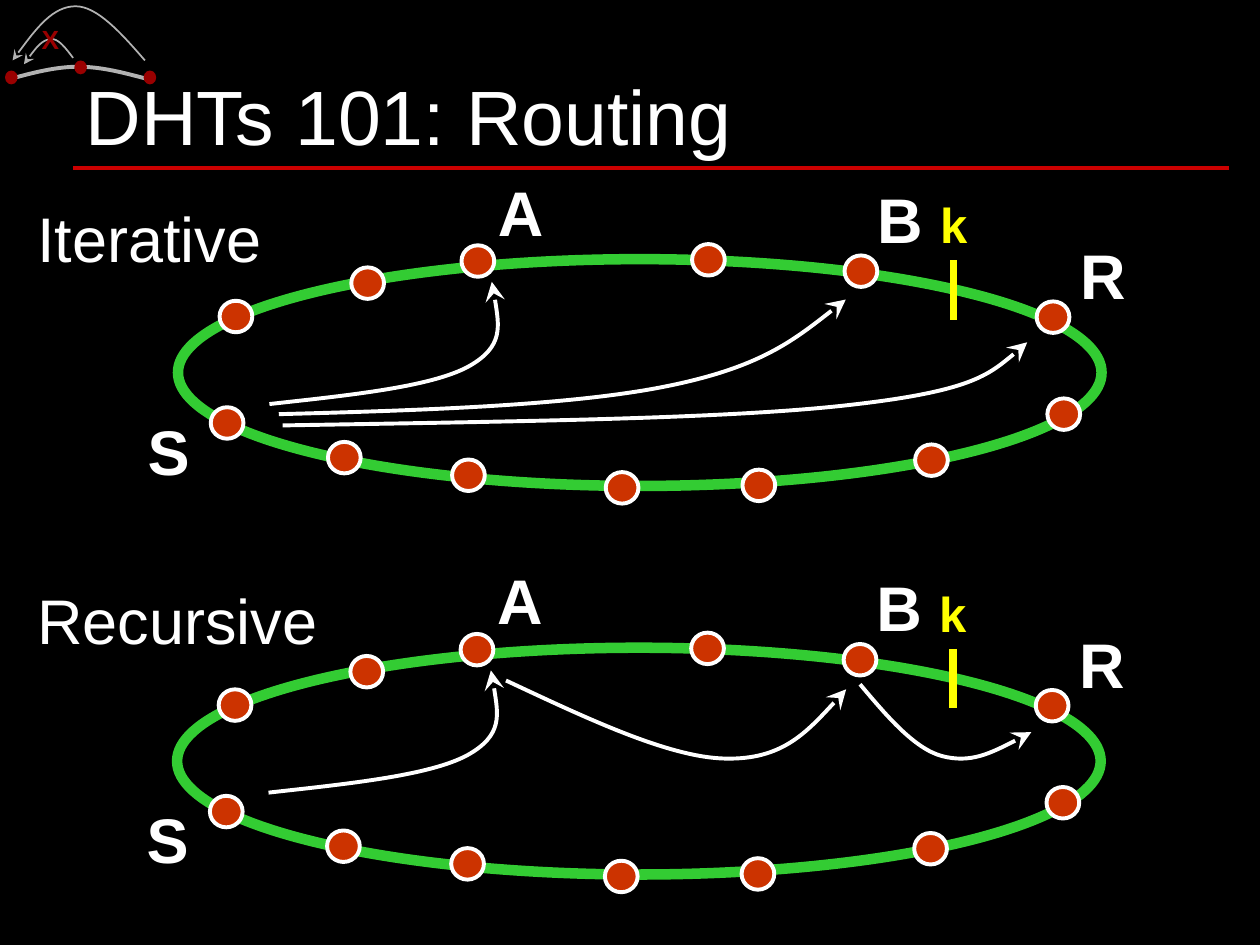
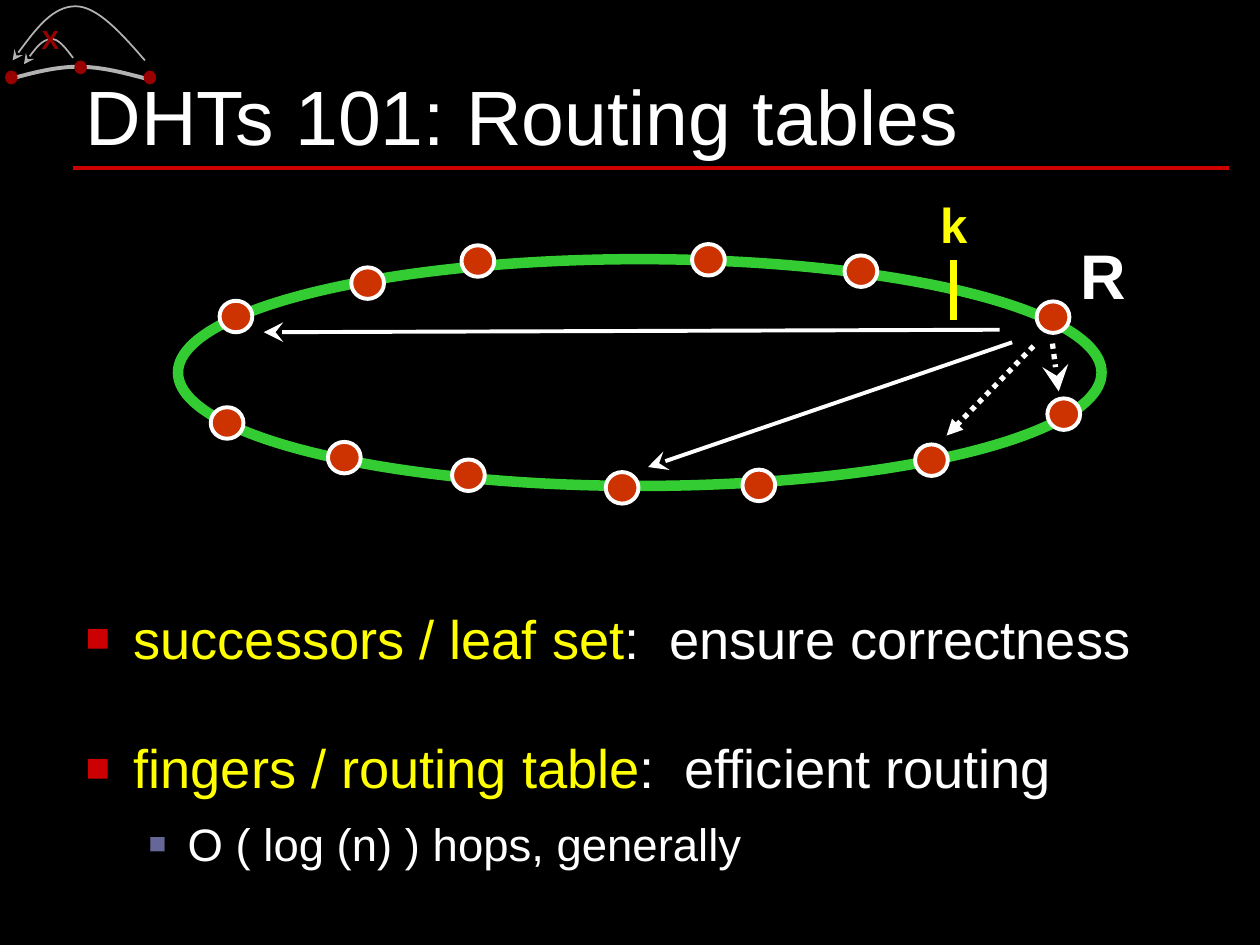
from dataclasses import dataclass

from lxml import etree
from pptx import Presentation
from pptx.dml.color import RGBColor
from pptx.enum.dml import MSO_LINE
from pptx.enum.shapes import MSO_CONNECTOR, MSO_SHAPE
from pptx.enum.text import MSO_ANCHOR, MSO_AUTO_SIZE, PP_ALIGN
from pptx.oxml.ns import qn
from pptx.util import Inches, Pt

OVAL = MSO_SHAPE.OVAL
STRAIGHT = MSO_CONNECTOR.STRAIGHT
DOTTED = MSO_LINE.ROUND_DOT
LEFT, CENTER = PP_ALIGN.LEFT, PP_ALIGN.CENTER
BOTTOM, TOP = MSO_ANCHOR.BOTTOM, MSO_ANCHOR.TOP
NO_FIT = MSO_AUTO_SIZE.NONE
TITLE_AND_BODY, TITLE_ONLY = 1, 5

FONT = "Arial"
BLACK, WHITE, YELLOW = "000000", "FFFFFF", "FFFF00"
RED, DARK_RED, NODE_RED = "CC0000", "990000", "CC3300"
GREEN, GRAY, VIOLET = "33CC33", "B2B2B2", "666699"

# The slide is a grid of 100 columns by 75 rows
SLIDE_WIDTH, SLIDE_HEIGHT = Inches(10), Inches(7.5)
COLUMN, ROW = SLIDE_WIDTH / 100, SLIDE_HEIGHT / 75


@dataclass
class Box:
    """A region in grid units; points inside it count from its top left."""
    left: float
    top: float
    width: float
    height: float

    def point(self, x, y):
        return round((self.left + x) * COLUMN), round((self.top + y) * ROW)

    def inner(self, x, y, width, height):
        return Box(self.left + x, self.top + y, width, height)

    def frame(self):
        return (*self.point(0, 0), round(self.width * COLUMN), round(self.height * ROW))


SLIDE_BOX = Box(0, 0, 100, 75)
EMBLEM_BOX = Box(0, 0, 13, 7)
TITLE_BOX = Box(5.8, 0.8, 91.7, 12.43)
BODY_BOX = Box(5.8, 47, 91.7, 28)
UPPER_RING = Box(14.13, 20.57, 73.3, 18)
LOWER_RING = Box(14.06, 51.41, 73.3, 18)
ITERATIVE_BOX = Box(1.95, 15.35, 19.8, 7)
RECURSIVE_BOX = Box(1.98, 45.65, 24.2, 7)

# Centres of the nodes, clockwise from the left, measured from the ring's corner
NODE_CENTERS = [
    (4.6, 4.55), (15.05, 1.9), (23.8, 0.15), (42.1, 0.05), (54.2, 0.95),
    (69.45, 4.6), (70.3, 12.3), (59.8, 15.95), (46.1, 17.95), (35.25, 18.15),
    (23.05, 17.15), (13.2, 15.75), (3.9, 13),
]
NODE_LABELS = {
    "R": (70.6, -2.25, 5.6, 7), "B": (54.5, -6.75, 5.6, 7),
    "A": (24.4, -7.3, 5.6, 7), "S": (-3.4, 11.65, 5.3, 7),
}

# Bezier routes: a start, then two controls and an end for each segment
S_TO_A = [(7.25, 11.5), (13.6, 10.8), (20, 10.15), (23, 8.55),
          (25.9, 6.95), (25.4, 4.4), (24.9, 1.8)]
S_TO_B = [(8, 12.3), (19.6, 12), (31.2, 11.6), (38.7, 10.1),
          (46.2, 8.6), (49.6, 5.9), (53, 3.2)]
S_TO_R = [(8.3, 13.2), (25.8, 12.9), (43.3, 12.7), (53.1, 11.6),
          (63, 10.5), (65.2, 8.6), (67.4, 6.6)]
A_TO_B = [(26.1, 2.6), (32.5, 5.6), (39, 8.7), (43.5, 8.8),
          (48, 8.9), (50.6, 6.1), (53.1, 3.3)]
B_TO_R = [(54.2, 2.9), (56.3, 5.4), (58.5, 8), (60.7, 8.6),
          (63, 9.2), (65.4, 8), (67.8, 6.7)]

EMBLEM_ARC = [(0.7, 6.3), (2.5, 5.8), (4.4, 5.3), (6.2, 5.3),
              (8.1, 5.3), (9.9, 5.8), (11.8, 6.3)]
EMBLEM_JUMPS = [
    [(11.5, 4.8), (9.6, 2.6), (7.7, 0.5), (6, 0.5), (4.2, 0.5), (2.6, 2.6), (1, 4.8)],
    [(5.8, 4.6), (5.2, 3.8), (4.6, 3), (4, 3.1), (3.3, 3.2), (2.6, 4.1), (1.9, 5.1)],
]
EMBLEM_NODES = [(0.4, 5.6), (11.4, 5.6), (5.9, 4.8)]

# Arrowheads: type, and a size for both width and length
SMALL_HEAD, LARGE_HEAD, SOLID_HEAD = ("stealth", "med"), ("stealth", "lg"), ("triangle", "med")

# Start, end, line format and arrowhead of the routing table's entries
FINGER, SUCCESSOR = {"width": Pt(2.25)}, {"width": Pt(3), "dash_style": DOTTED}
TABLE_ENTRIES = [
    ((66.2, 6.6), (37.3, 16.5), FINGER, LARGE_HEAD),
    ((65.2, 5.6), (6.8, 5.8), FINGER, LARGE_HEAD),
    ((67.9, 6.9), (61, 14), SUCCESSOR, SOLID_HEAD),
    ((69.4, 6.7), (69.9, 10.5), SUCCESSOR, LARGE_HEAD),
]

# Bullet formats: indents in inches, size in points, bullet size in percent
MAIN_BULLET = {"margin": 0.38, "hang": 0.38, "size": 31, "color": RED, "percent": 75}
SUB_BULLET = {"margin": 0.81, "hang": 0.31, "size": 26, "color": VIOLET, "percent": 65}
# Level, space before, bullet format and coloured runs
BODY_ITEMS = [
    (0, 7.7, MAIN_BULLET, [("successors / leaf set", YELLOW), (":  ensure correctness", WHITE)]),
    (0, 33, MAIN_BULLET, [("fingers / routing table", YELLOW), (":  efficient routing", WHITE)]),
    (1, 6.5, SUB_BULLET, [("O ( log (n) ) hops, generally", WHITE)]),
]


def rgb(color):
    return RGBColor.from_string(color)


def apply(target, values):
    for name, value in values.items():
        setattr(target, name, value)


def format_line(shape, color, values, arrowhead=None):
    shape.line.color.rgb = rgb(color)
    apply(shape.line, values)
    if arrowhead:
        kind, size = arrowhead
        line = shape.line._get_or_add_ln()
        etree.SubElement(line, qn("a:tailEnd"), type=kind, w=size, len=size)


def add_run(paragraph, text, size, color, bold=False):
    run = paragraph.add_run()
    run.text = text
    apply(run.font, {"name": FONT, "size": Pt(size), "bold": bold})
    run.font.color.rgb = rgb(color)


def add_label(canvas, box, text, size, color=WHITE, bold=True):
    frame = canvas.shapes.add_textbox(*box.frame()).text_frame
    frame.word_wrap = False
    paragraph = frame.paragraphs[0]
    paragraph.alignment = CENTER
    add_run(paragraph, text, size, color, bold)


def add_oval(canvas, box, fill=None, line=None, width=0):
    oval = canvas.shapes.add_shape(OVAL, *box.frame())
    oval.shadow.inherit = False
    if fill:
        oval.fill.solid()
        oval.fill.fore_color.rgb = rgb(fill)
    else:
        oval.fill.background()
    if line:
        format_line(oval, line, {"width": Pt(width)})
    else:
        oval.line.fill.background()


def add_line(canvas, box, start, end, color, values, arrowhead=None):
    line = canvas.shapes.add_connector(STRAIGHT, *box.point(*start), *box.point(*end))
    format_line(line, color, values, arrowhead)
    etree.SubElement(line._element.spPr, qn("a:effectLst"))


def add_curve(canvas, box, controls, color=WHITE, width=2.25, arrowhead=LARGE_HEAD):
    builder = canvas.shapes.build_freeform(*box.point(*controls[0]))
    builder.add_line_segments([box.point(*point) for point in controls[1:]], close=False)
    curve = builder.convert_to_shape()
    # Turn every three straight segments into one Bezier segment
    outline = next(curve._element.iter(qn("a:path")))
    segments = outline.findall(qn("a:lnTo"))
    for first in range(0, len(segments), 3):
        bezier = etree.SubElement(outline, qn("a:cubicBezTo"))
        for segment in segments[first:first + 3]:
            bezier.append(segment[0])
            outline.remove(segment)
    curve.shadow.inherit = False
    curve.fill.background()
    format_line(curve, color, {"width": Pt(width)}, arrowhead)


def place_placeholder(placeholder, box, anchor):
    apply(placeholder, dict(zip(("left", "top", "width", "height"), box.frame())))
    apply(placeholder.text_frame, {"auto_size": NO_FIT, "word_wrap": True,
                                   "vertical_anchor": anchor})


def draw_emblem(slide, box):
    add_curve(slide, box, EMBLEM_ARC, GRAY, arrowhead=None)
    for x, y in EMBLEM_NODES:
        add_oval(slide, box.inner(x, y, 1, 1.1), DARK_RED)
    for jump in EMBLEM_JUMPS:
        add_curve(slide, box, jump, GRAY, 1, SMALL_HEAD)
    add_label(slide, box.inner(2.3, 1.35, 3.4, 3.5), "X", 15, DARK_RED)


def decorate_master(presentation, slide):
    """Draw the shared rule and emblem, then move them to the slide master."""
    master = presentation.slide_master
    background = master.background.fill
    background.solid()
    background.fore_color.rgb = rgb(BLACK)
    own_shapes = len(slide.shapes)
    add_line(slide, SLIDE_BOX, (5.8, 13.33), (97.5, 13.33), RED, {"width": Pt(2)})
    draw_emblem(slide, EMBLEM_BOX)
    for number, shape in enumerate(list(slide.shapes)[own_shapes:], start=100):
        next(shape._element.iter(qn("p:cNvPr"))).set("id", str(number))
        master.shapes._spTree.append(shape._element)


def start_slide(presentation, layout_index, title):
    slide = presentation.slides.add_slide(presentation.slide_layouts[layout_index])
    place_placeholder(slide.shapes.title, TITLE_BOX, BOTTOM)
    paragraph = slide.shapes.title.text_frame.paragraphs[0]
    apply(paragraph, {"alignment": LEFT, "line_spacing": 0.8})
    add_run(paragraph, title, 44, WHITE)
    return slide


def draw_ring(slide, box, labels):
    ring = slide.shapes.add_group_shape()
    add_oval(ring, box, line=GREEN, width=6)
    for x, y in NODE_CENTERS:
        add_oval(ring, box.inner(x - 1.3, y - 1.25, 2.6, 2.5), NODE_RED, WHITE, 2.25)
    # Key position on the ring
    add_line(ring, box, (61.55, 0.1), (61.55, 4.8), YELLOW, {"width": Pt(4.5)})
    add_label(ring, box.inner(59.5, -5.6, 4.1, 5.7), "k", 28, YELLOW)
    for label in labels:
        add_label(ring, box.inner(*NODE_LABELS[label]), label, 36)


def draw_routes(canvas, box, routes):
    for route in routes:
        add_curve(canvas, box, route)


def add_bullet(paragraph, bullet):
    properties = paragraph._p.get_or_add_pPr()
    properties.set("marL", str(Inches(bullet["margin"])))
    properties.set("indent", str(-Inches(bullet["hang"])))
    color = etree.SubElement(properties, qn("a:buClr"))
    etree.SubElement(color, qn("a:srgbClr"), val=bullet["color"])
    etree.SubElement(properties, qn("a:buSzPct"), val=str(bullet["percent"] * 1000))
    etree.SubElement(properties, qn("a:buFont"), typeface=FONT)
    etree.SubElement(properties, qn("a:buChar"), char="■")


def fill_body(body, box):
    place_placeholder(body, box, TOP)
    frame = body.text_frame
    for index, (level, space, bullet, runs) in enumerate(BODY_ITEMS):
        paragraph = frame.add_paragraph() if index else frame.paragraphs[0]
        apply(paragraph, {"level": level, "line_spacing": 1.1, "space_before": Pt(space)})
        add_bullet(paragraph, bullet)
        for text, color in runs:
            add_run(paragraph, text, bullet["size"], color)


def build_routing(presentation):
    slide = start_slide(presentation, TITLE_ONLY, "DHTs 101: Routing")
    decorate_master(presentation, slide)
    draw_routes(slide, UPPER_RING, [S_TO_A, S_TO_B, S_TO_R])
    for ring_box in (UPPER_RING, LOWER_RING):
        draw_ring(slide, ring_box, "RBAS")
    for name, name_box in (("Iterative", ITERATIVE_BOX), ("Recursive", RECURSIVE_BOX)):
        add_label(slide, name_box, name, 36, bold=False)
    draw_routes(slide.shapes.add_group_shape(), LOWER_RING, [S_TO_A, A_TO_B, B_TO_R])


def build_routing_tables(presentation):
    slide = start_slide(presentation, TITLE_AND_BODY, "DHTs 101: Routing tables")
    draw_ring(slide, UPPER_RING, "R")
    for start, end, values, arrowhead in TABLE_ENTRIES:
        add_line(slide, UPPER_RING, start, end, WHITE, values, arrowhead)
    fill_body(slide.placeholders[1], BODY_BOX)


def main():
    presentation = Presentation()
    apply(presentation, {"slide_width": SLIDE_WIDTH, "slide_height": SLIDE_HEIGHT})
    build_routing(presentation)
    build_routing_tables(presentation)
    presentation.save("out.pptx")


if __name__ == "__main__":
    main()
